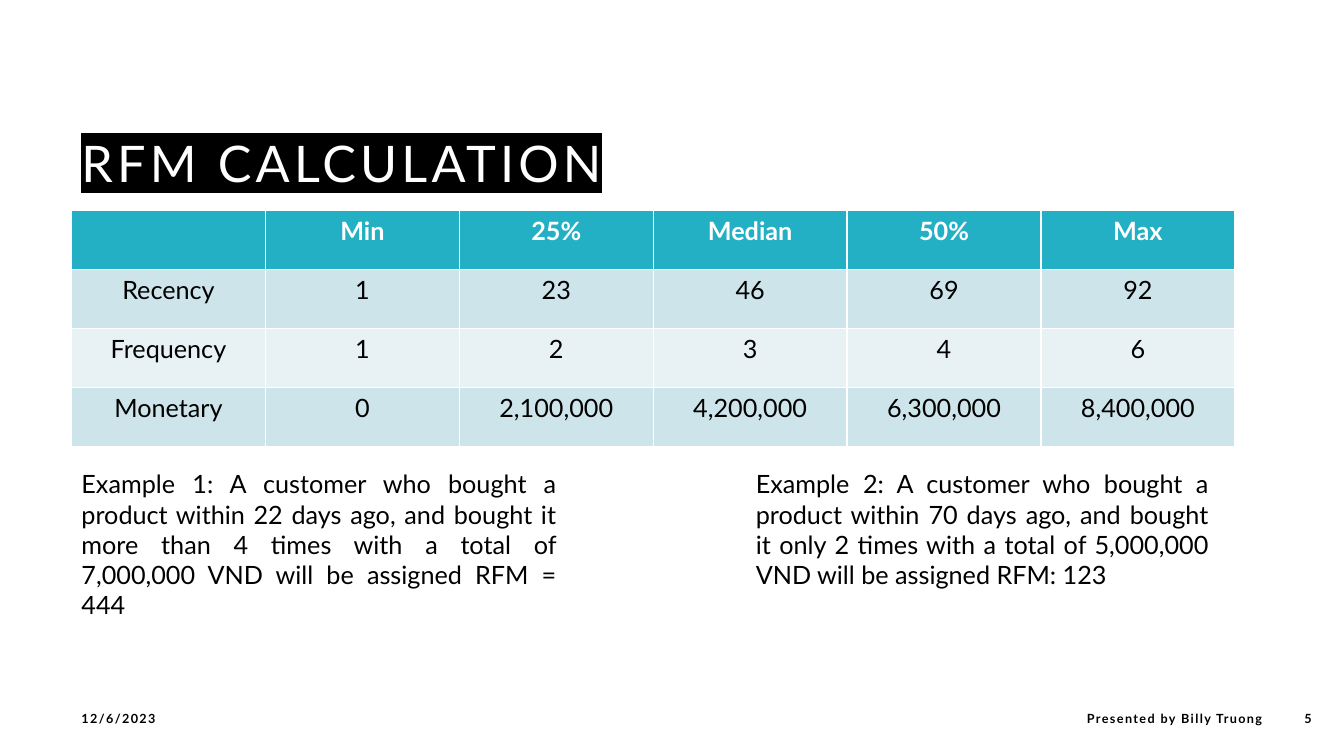
import pptx
import pptx.dml.color
import pptx.enum.text
import pptx.oxml
import pptx.oxml.ns
import pptx.util

Align = pptx.enum.text.PP_ALIGN
Anchor = pptx.enum.text.MSO_ANCHOR

COLORS = {
    "white": "FFFFFF",
    "black": "000000",
    "header": "23B0C5",
    "band dark": "CDE4EA",
    "band light": "E8F2F5",
}
QUARTILES = [
    ["", "Min", "25%", "Median", "50%", "Max"],
    ["Recency", "1", "23", "46", "69", "92"],
    ["Frequency", "1", "2", "3", "4", "6"],
    ["Monetary", "0", "2,100,000", "4,200,000", "6,300,000", "8,400,000"],
]
EXAMPLES = [
    (4.26, 29.46, "Example 1: A customer who bought a product within 22 days ago, and bought it "
                  "more than 4 times with a total of 7,000,000 VND will be assigned RFM = 444"),
    (44.4, 28.14, "Example 2: A customer who bought a product within 70 days ago, and bought it "
                  "only 2 times with a total of 5,000,000 VND will be assigned RFM: 123"),
]
FOOTER = [
    (4.26, 19.74, "12/6/2023", Align.LEFT),
    (52.74, 22.98, "Presented by Billy Truong", Align.RIGHT),
    (75.12, 3.54, "5", Align.RIGHT),
]


class SlideBuilder:
    """Places elements on a grid of 80 columns by 45 rows."""

    font_name = "Lato"
    columns, rows = 80, 45

    def __init__(self, deck):
        self.deck = deck
        self.page = deck.slides.add_slide(deck.slide_layouts[6])

    def frame(self, left, top, width, height):
        column = self.deck.slide_width / self.columns
        row = self.deck.slide_height / self.rows
        return [pptx.util.Emu(round(length)) for length in
                (left * column, top * row, width * column, height * row)]

    def color(self, name):
        return pptx.dml.color.RGBColor.from_string(COLORS[name])

    def fill_para(self, para, text, size, color="black", bold=False, align=Align.LEFT):
        span = para.add_run()
        span.text = text
        para.alignment = align
        para.font.name = self.font_name
        para.font.size = pptx.util.Pt(size)
        para.font.bold = bold
        para.font.color.rgb = self.color(color)
        return span

    def text(self, place, text, size, anchor=Anchor.TOP, spacing=0, **style):
        """Add a text box; spacing is the letter spacing in points."""
        box = self.page.shapes.add_textbox(*self.frame(*place))
        box.text_frame.word_wrap = True
        box.text_frame.vertical_anchor = anchor
        span = self.fill_para(box.text_frame.paragraphs[0], text, size, **style)
        if spacing:
            span.font._element.set("spc", str(spacing * 100))
        return box

    def title(self, place, text):
        box = self.text(place, text, 36, Anchor.BOTTOM, spacing=3, color="white")
        para = box.text_frame.paragraphs[0]
        para.line_spacing = 1.2
        namespace = pptx.oxml.ns.nsdecls("a")
        para.runs[0].font._element.append(pptx.oxml.parse_xml(
            f'<a:highlight {namespace}><a:srgbClr val="{COLORS["black"]}"/></a:highlight>'))

    def table(self, place, values):
        table = self.page.shapes.add_table(
            len(values), len(values[0]), *self.frame(*place)).table
        for row, line in enumerate(values):
            fill = "header" if row == 0 else "band dark" if row % 2 else "band light"
            for column, value in enumerate(line):
                cell = table.cell(row, column)
                cell.fill.solid()
                cell.fill.fore_color.rgb = self.color(fill)
                if value:
                    self.fill_para(cell.text_frame.paragraphs[0], value, 18,
                                   color="black" if row else "white",
                                   bold=row == 0, align=Align.CENTER)


def main():
    deck = pptx.Presentation()
    deck.slide_width = pptx.util.Inches(13.33)
    deck.slide_height = pptx.util.Inches(7.5)
    builder = SlideBuilder(deck)
    builder.title((4.26, 4.26, 69.72, 7.5), "RFM CALCULATION")
    builder.table((4.26, 12.54, 69.24, 14.04), QUARTILES)
    for left, width, text in EXAMPLES:
        builder.text((left, 27.6, width, 7.86), text, 18, align=Align.JUSTIFY)
    for left, width, text, align in FOOTER:
        builder.text((left, 41.58, width, 2.4), text, 9, Anchor.MIDDLE,
                     spacing=1, bold=True, align=align)
    deck.save("out.pptx")


if __name__ == "__main__":
    main()
